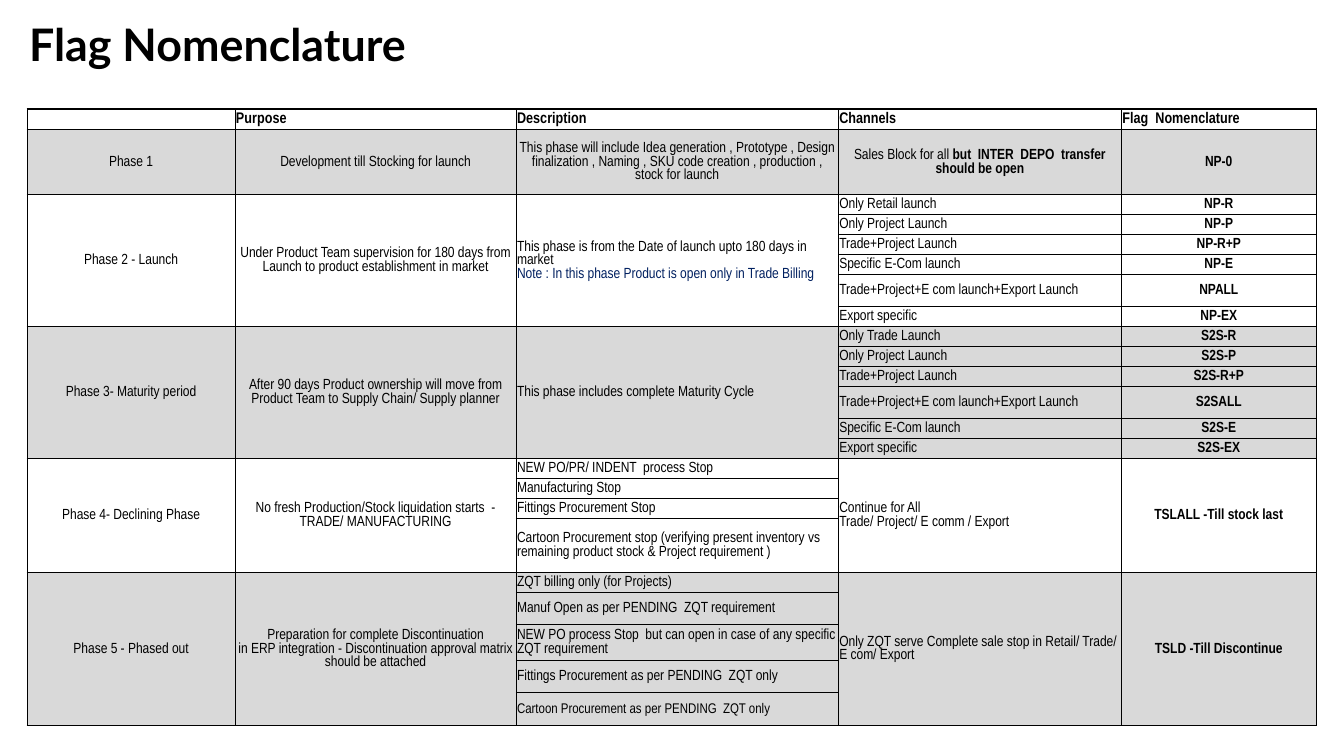
from dataclasses import dataclass
from typing import Optional

from lxml.etree import SubElement
from pptx import Presentation
from pptx.dml.color import RGBColor
from pptx.enum.text import MSO_ANCHOR as Anchor, MSO_AUTO_SIZE as AutoSize, PP_ALIGN as Align
from pptx.oxml.ns import qn
from pptx.util import Pt

BLACK = RGBColor(0x00, 0x00, 0x00)
WHITE = RGBColor(0xFF, 0xFF, 0xFF)
GREY = RGBColor(0xD9, 0xD9, 0xD9)
NAVY = RGBColor(0x00, 0x20, 0x60)

SINGLE, DOUBLE = 14.25, 23.2
COLUMN_WIDTHS = [148.5, 200.8, 230.2, 202.2, 139.1]
HEADINGS = ["", "Purpose", "Description", "Channels", "Flag  Nomenclature"]


@dataclass
class Run:
    text: str
    bold: Optional[bool] = None
    color: RGBColor = BLACK
    size: Optional[float] = None


@dataclass
class Phase:
    heights: list
    fill: RGBColor
    columns: list
    alignments: tuple = (Align.CENTER, Align.CENTER, Align.LEFT, Align.LEFT, Align.CENTER)


PHASES = [
    Phase([46.2], GREY, [
        "Phase 1",
        "Development till Stocking for launch",
        "This phase will include Idea generation , Prototype , Design finalization , Naming , "
        "SKU code creation , production , stock for launch",
        (Run("Sales Block for all "), Run("but  INTER  DEPO  transfer should be open", bold=True)),
        "NP-0",
    ], (Align.CENTER,) * 5),
    Phase([SINGLE] * 4 + [DOUBLE, SINGLE], WHITE, [
        "Phase 2 - Launch",
        "Under Product Team supervision for 180 days from Launch to product establishment in market",
        (Run("This phase is from the Date of launch upto 180 days in market\n"),
         Run("Note : In this phase Product is open only in Trade Billing", color=NAVY)),
        ["Only Retail launch", "Only Project Launch", "Trade+Project Launch",
         "Specific E-Com launch", "Trade+Project+E com launch+Export Launch", "Export specific"],
        ["NP-R", "NP-P", "NP-R+P", "NP-E", "NPALL", "NP-EX"],
    ]),
    Phase([SINGLE] * 3 + [DOUBLE] + [SINGLE] * 2, GREY, [
        "Phase 3- Maturity period",
        "After 90 days Product ownership will move from Product Team to Supply Chain/ Supply planner",
        "This phase includes complete Maturity Cycle",
        ["Only Trade Launch", "Only Project Launch", "Trade+Project Launch",
         "Trade+Project+E com launch+Export Launch", "Specific E-Com launch", "Export specific"],
        ["S2S-R", "S2S-P", "S2S-R+P", "S2SALL", "S2S-E", "S2S-EX"],
    ]),
    Phase([SINGLE] * 3 + [38.6], WHITE, [
        "Phase 4- Declining Phase",
        "No fresh Production/Stock liquidation starts  - TRADE/ MANUFACTURING",
        ["NEW PO/PR/ INDENT  process Stop", "Manufacturing Stop", "Fittings Procurement Stop",
         "Cartoon Procurement stop (verifying present inventory vs remaining product stock "
         "& Project requirement )"],
        "Continue for All\nTrade/ Project/ E comm / Export",
        "TSLALL -Till stock last",
    ]),
    Phase([SINGLE, DOUBLE, 25.4, DOUBLE, DOUBLE], GREY, [
        "Phase 5 - Phased out",
        "Preparation for complete Discontinuation\n"
        "in ERP integration - Discontinuation approval matrix should be attached",
        ["ZQT billing only (for Projects)",
         "Manuf Open as per PENDING  ZQT requirement",
         "NEW PO process Stop  but can open in case of any specific ZQT requirement",
         "Fittings Procurement as per PENDING  ZQT only",
         (Run("Cartoon Procurement as per PENDING  ZQT only", size=10),)],
        "Only ZQT serve Complete sale stop in Retail/ Trade/ E com/ Export",
        "TSLD -Till Discontinue",
    ]),
]


def add_size_mark(parent, tag, size):
    SubElement(parent, qn(tag), sz=str(int(size * 100)))


def write_text(frame, content, font="Arial Narrow", size=10.5, bold=False, align=Align.LEFT):
    paragraph = frame.paragraphs[0]
    paragraph.alignment = align
    if not content:
        add_size_mark(paragraph._p, "a:endParaRPr", size)
        return
    for part in (Run(content),) if isinstance(content, str) else content:
        for index, line in enumerate(part.text.split("\n")):
            if index:
                paragraph.add_line_break()
                add_size_mark(paragraph._p[-1], "a:rPr", size)
            if line:
                run = paragraph.add_run()
                run.text = line
                run.font.name = font
                run.font.size = Pt(part.size or size)
                run.font.bold = bold if part.bold is None else part.bold
                run.font.color.rgb = part.color


class SlideBuilder:
    thin, thick = 0.5, 1

    def __init__(self, presentation):
        self.slide = presentation.slides.add_slide(presentation.slide_layouts[6])

    def title(self, text, left, top, width, height):
        frame = self.slide.shapes.add_textbox(Pt(left), Pt(top), Pt(width), Pt(height)).text_frame
        frame.word_wrap = True
        frame.auto_size = AutoSize.SHAPE_TO_FIT_TEXT
        write_text(frame, text, font="Lato", size=32, bold=True)

    def table(self, left, top, widths, heights):
        shape = self.slide.shapes.add_table(
            len(heights), len(widths), Pt(left), Pt(top), Pt(sum(widths)), Pt(sum(heights)))
        table = shape.table
        table.first_row = table.horz_banding = False
        for column, width in zip(table.columns, widths):
            column.width = Pt(width)
        for row, height in zip(table.rows, heights):
            row.height = Pt(height)
        return table

    def borders(self, cell, edges):
        properties = cell._tc.get_or_add_tcPr()
        for side, weight in edges.items():
            if weight:
                line = SubElement(properties, qn(f"a:ln{side}"), w=str(Pt(weight)))
                fill = SubElement(line, qn("a:solidFill"))
                SubElement(fill, qn("a:srgbClr"), val=str(BLACK))

    def cell(self, cell, content, fill, edges, **text_format):
        cell.margin_left = cell.margin_right = cell.margin_top = Pt(0.7)
        cell.margin_bottom = 0
        cell.vertical_anchor = Anchor.MIDDLE
        self.borders(cell, edges)
        cell.fill.solid()
        cell.fill.fore_color.rgb = fill
        write_text(cell.text_frame, content, **text_format)

    def band(self, table, first_row, phase, **heading_format):
        count = len(phase.heights)
        last_column = len(phase.columns) - 1
        for column, content in enumerate(phase.columns):
            merged = not isinstance(content, list)
            entries = [content] + [""] * (count - 1) if merged else content
            if merged and count > 1:
                table.cell(first_row, column).merge(table.cell(first_row + count - 1, column))
            inner = None if merged else self.thin
            text_format = {"bold": column == last_column, **heading_format}
            for index, entry in enumerate(entries):
                origin = merged and index == 0
                edges = {
                    "L": self.thick if column == 0 else self.thin,
                    "R": self.thick if column == last_column else self.thin,
                    "T": self.thick if index == 0 else inner,
                    "B": self.thick if origin or index == count - 1 else inner,
                }
                self.cell(table.cell(first_row + index, column), entry, phase.fill, edges,
                          align=phase.alignments[column], **text_format)
        return first_row + count


def main():
    presentation = Presentation()
    presentation.slide_width, presentation.slide_height = Pt(960), Pt(540)
    builder = SlideBuilder(presentation)

    header = Phase([14.9], WHITE, HEADINGS, (Align.LEFT,) * 5)
    heights = [height for band in [header, *PHASES] for height in band.heights]
    table = builder.table(19.4, 77.8, COLUMN_WIDTHS, heights)
    next_row = builder.band(table, 0, header, size=11, bold=True)
    for phase in PHASES:
        next_row = builder.band(table, next_row, phase)

    builder.title("Flag Nomenclature", 13.7, 8.6, 480, 46)
    presentation.save("out.pptx")


if __name__ == "__main__":
    main()
